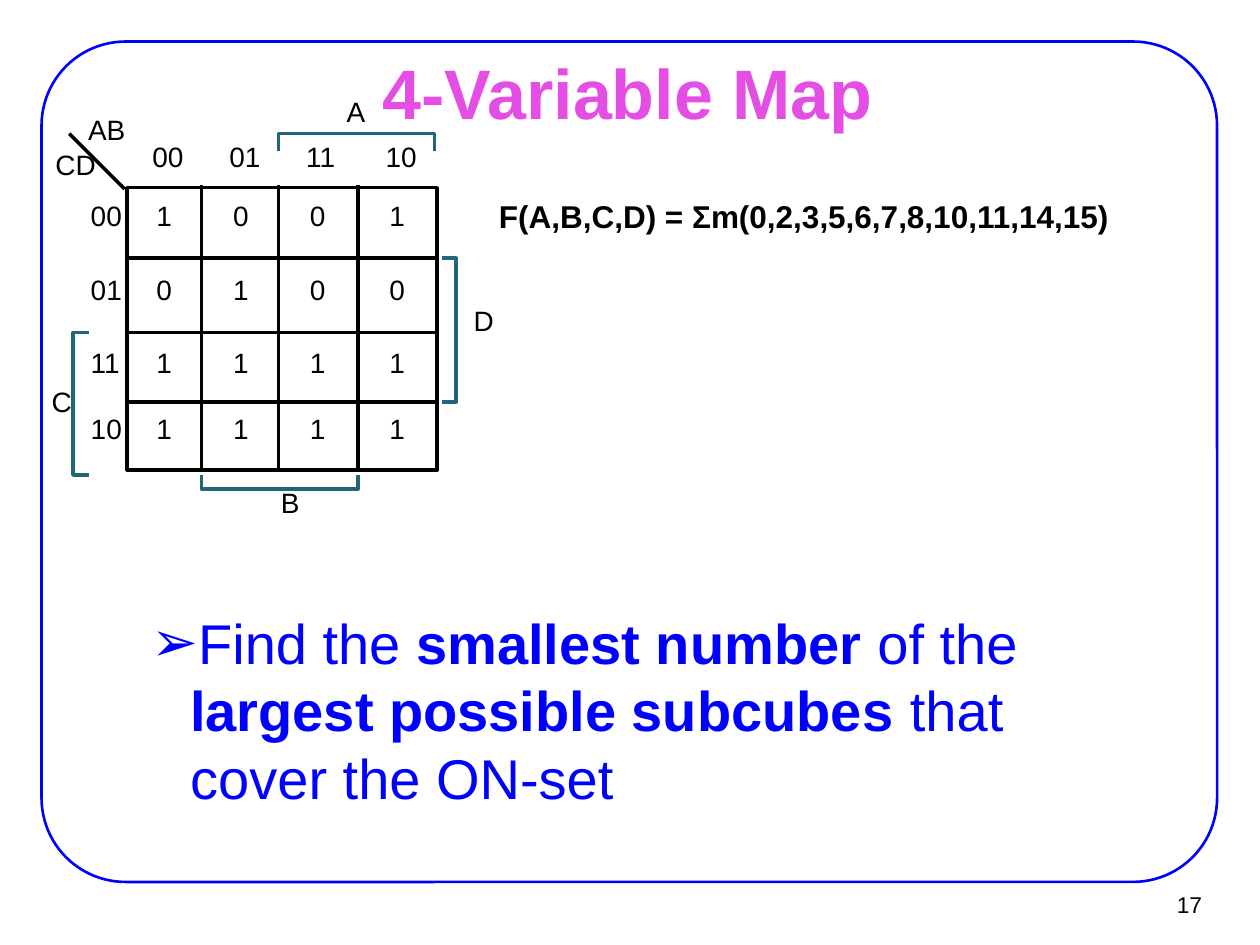
"""Build a slide with a four-variable Karnaugh map and its task."""
import dataclasses
import typing

import pptx
import pptx.dml.color
import pptx.enum.shapes
import pptx.enum.text
import pptx.oxml.ns
import pptx.util
from lxml import etree

Inches = pptx.util.Inches
Pt = pptx.util.Pt
Align = pptx.enum.text.PP_ALIGN
Anchor = pptx.enum.text.MSO_ANCHOR
qn = pptx.oxml.ns.qn

HUES = {"ink": "000000", "blue": "0000FF", "pink": "E44EE4", "teal": "226577"}
Point = typing.Tuple[float, float]


@dataclasses.dataclass
class Label:
    text: str
    left: float
    top: float
    width: float


@dataclasses.dataclass
class Line:
    start: Point
    end: Point


@dataclasses.dataclass
class Bracket:
    points: typing.List[Point]


def hue(name: str):
    return pptx.dml.color.RGBColor.from_string(HUES[name])


def write(para, text: str, *, size: float = 16, color: str = "ink",
          bold: bool = False, align=Align.LEFT) -> None:
    para.alignment = align
    run = para.add_run()
    run.text = text
    run.font.name = "Arial"
    run.font.size = Pt(size)
    run.font.bold = bold
    run.font.color.rgb = hue(color)


def set_frame(shape, box, pad: Point, wrap: bool = True, anchor=Anchor.TOP):
    shape.left, shape.top, shape.width, shape.height = map(Inches, box)
    frame = shape.text_frame
    frame.margin_left = frame.margin_right = Inches(pad[0])
    frame.margin_top = frame.margin_bottom = Inches(pad[1])
    frame.auto_size = pptx.enum.text.MSO_AUTO_SIZE.NONE
    frame.word_wrap = wrap
    frame.vertical_anchor = anchor
    return frame.paragraphs[0]


def add_text(shapes, box, pad: Point, wrap: bool = True, anchor=Anchor.TOP):
    shape = shapes.add_textbox(*map(Inches, box))
    return set_frame(shape, box, pad, wrap, anchor)


def draw_label(shapes, label: Label) -> None:
    box = (label.left, label.top, label.width, 0.27)
    write(add_text(shapes, box, (0, 0)), label.text)


def draw_line(shapes, line: Line) -> None:
    kind = pptx.enum.shapes.MSO_CONNECTOR.STRAIGHT
    shape = shapes.add_connector(kind, *map(Inches, line.start + line.end))
    shape.line.color.rgb = hue("ink")
    shape.line.width = Pt(2)
    etree.SubElement(shape._element.spPr, qn("a:effectLst"))


def outline(shape, color: str, width: float) -> None:
    shape.shadow.inherit = False
    shape.fill.background()
    shape.line.color.rgb = hue(color)
    shape.line.width = Pt(width)


def draw_box(shapes, kind, box, color: str, width: float):
    shape = shapes.add_shape(kind, *map(Inches, box))
    outline(shape, color, width)
    return shape


def draw_bracket(shapes, bracket: Bracket) -> None:
    spots = [(Inches(x), Inches(y)) for x, y in bracket.points]
    pen = shapes.build_freeform(*spots[0])
    pen.add_line_segments(spots[1:], close=False)
    outline(pen.convert_to_shape(), "teal", 2)


def add_bullet(para, mark: str) -> None:
    props = para._p.get_or_add_pPr()
    props.set("marL", str(Inches(0.81)))
    props.set("indent", str(Inches(-0.31)))
    tint = etree.SubElement(props, qn("a:buClr"))
    etree.SubElement(tint, qn("a:srgbClr")).set("val", HUES["blue"])
    etree.SubElement(props, qn("a:buChar")).set("char", mark)


def draw_map(shapes) -> None:
    codes = ["00", "01", "11", "10"]
    cells = ["1001", "0100", "1111", "1111"]
    lefts = [1.24, 1.85, 2.46, 3.09]
    tops = [1.58, 2.16, 2.74, 3.27]
    rows = [2.05, 2.64, 3.19]
    cols = [1.6, 2.21, 2.84]

    draw_box(shapes, pptx.enum.shapes.MSO_SHAPE.RECTANGLE,
             (1.01, 1.49, 2.46, 2.24), "ink", 2)
    lines = [Line((0.99, y), (3.45, y)) for y in rows]
    lines += [Line((x, 1.47), (x, 3.72)) for x in cols]
    lines.append(Line((0.99, 1.5), (0.55, 1.06)))
    for line in lines:
        draw_line(shapes, line)

    labels = [Label(code, x - 0.03, 1.11, 0.31) for code, x in zip(codes, lefts)]
    for code, row, top in zip(codes, cells, tops):
        labels.append(Label(code, 0.72, top, 0.31))
        labels += [Label(bit, x, top, 0.12) for bit, x in zip(row, lefts)]
    labels += [
        Label("AB", 0.7, 0.89, 0.36),
        Label("CD", 0.44, 1.17, 0.38),
        Label("A", 2.75, 0.75, 0.21),
        Label("B", 2.23, 3.85, 0.21),
        Label("C", 0.41, 3.05, 0.22),
        Label("D", 3.76, 2.41, 0.22),
    ]
    for label in labels:
        draw_label(shapes, label)

    for bracket in (
        Bracket([(2.21, 1.2), (2.21, 1.06), (3.45, 1.06), (3.45, 1.2)]),
        Bracket([(0.71, 3.77), (0.58, 3.77), (0.58, 2.64), (0.71, 2.64)]),
        Bracket([(2.84, 3.77), (2.84, 3.88), (1.6, 3.88), (1.6, 3.77)]),
        Bracket([(3.51, 2.05), (3.62, 2.05), (3.62, 3.19), (3.51, 3.19)]),
    ):
        draw_bracket(shapes, bracket)


def main() -> None:
    deck = pptx.Presentation()
    deck.slide_width, deck.slide_height = Inches(10), Inches(7.5)
    slide = deck.slides.add_slide(deck.slide_layouts[1])
    shapes = slide.shapes

    border = draw_box(shapes, pptx.enum.shapes.MSO_SHAPE.ROUNDED_RECTANGLE,
                      (0.33, 0.33, 9.33, 6.67), "blue", 1.5)
    border.adjustments[0] = 0.1

    title = set_frame(shapes.title, (2.95, 0.36, 4.06, 0.72), (0.07, 0.03))
    write(title, "4-Variable Map", size=40, color="pink", bold=True,
          align=Align.CENTER)

    sum_line = add_text(shapes, (3.89, 1.58, 4.99, 0.82), (0.07, 0.03), wrap=False)
    sum_line.line_spacing = 0.85
    write(sum_line, "F(A,B,C,D) = Σm(0,2,3,5,6,7,8,10,11,14,15)", size=18, bold=True)

    task = set_frame(slide.placeholders[1], (0.59, 4.77, 8.5, 2.2), (0.11, 0.06))
    task.level = 1
    add_bullet(task, "➢")
    task.space_before = Pt(0)
    parts = ["Find the ", "smallest number", " of the ",
             "largest possible subcubes", " that cover the ON-set"]
    for index, part in enumerate(parts):
        write(task, part, size=32, color="blue", bold=index % 2 == 1)

    draw_map(shapes.add_group_shape().shapes)

    page = add_text(shapes, (9.02, 6.99, 0.61, 0.37), (0.09, 0.04),
                    wrap=False, anchor=Anchor.MIDDLE)
    write(page, "17", size=13, align=Align.RIGHT)

    deck.save("out.pptx")


if __name__ == "__main__":
    main()
